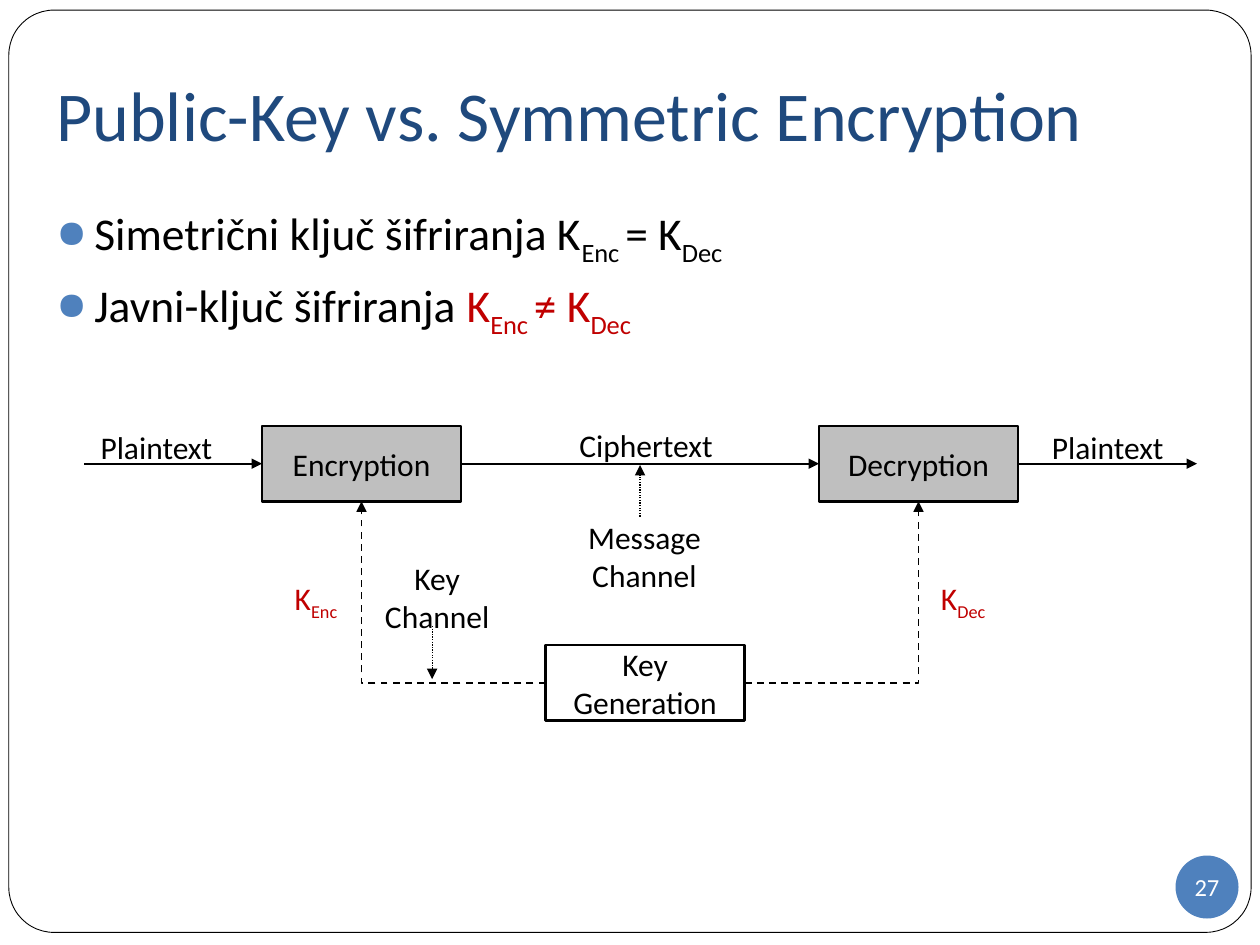
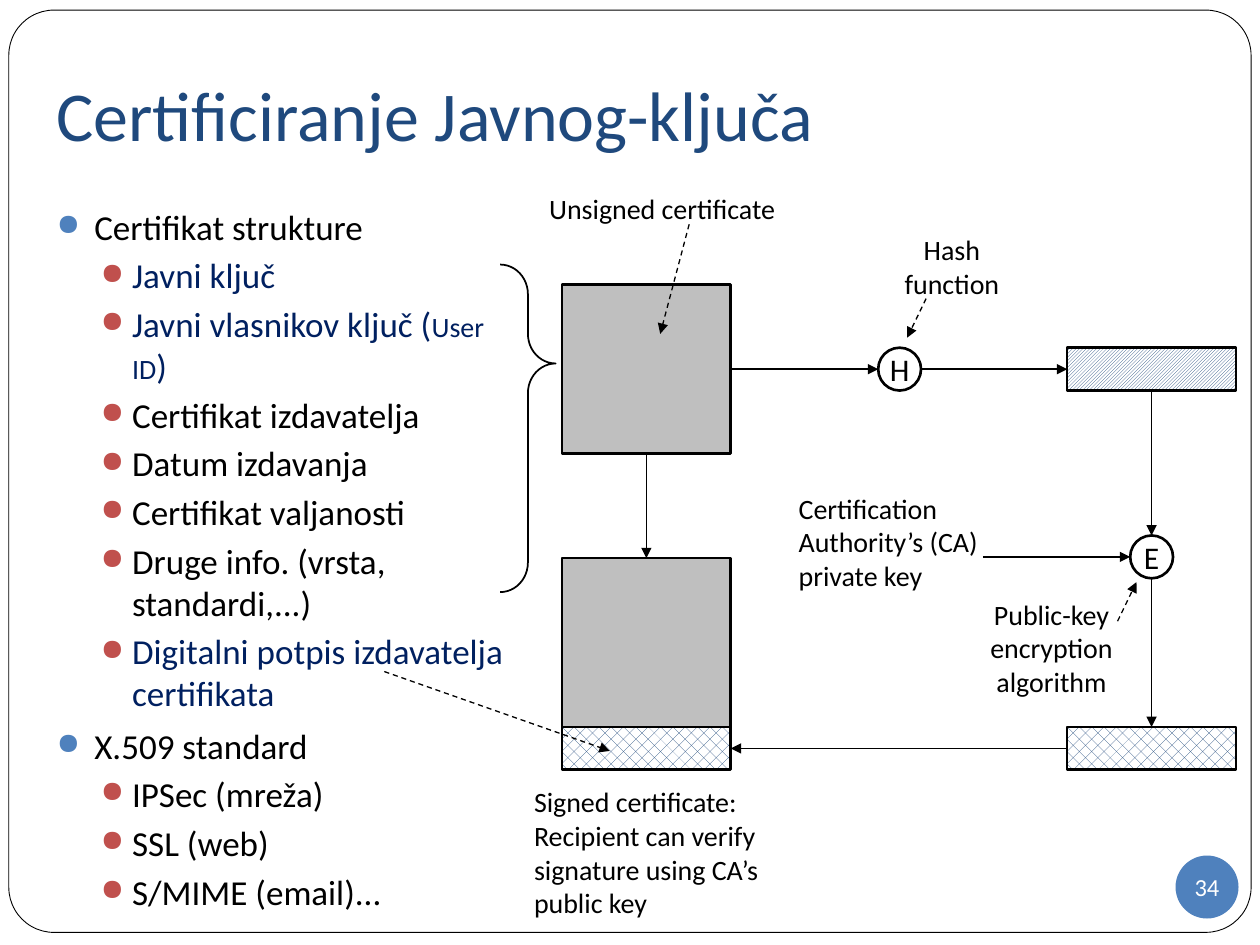
from pptx import Presentation
from pptx import util as u
from pptx.dml.color import RGBColor
from pptx.enum import dml, shapes, text
from pptx.oxml import parse_xml
from pptx.oxml.ns import nsdecls, qn

BLACK = RGBColor(0x00, 0x00, 0x00)
WHITE = RGBColor(0xFF, 0xFF, 0xFF)
NAVY = RGBColor(0x1F, 0x49, 0x7D)
INK = RGBColor(0x00, 0x20, 0x60)
BLUE = RGBColor(0x4F, 0x81, 0xBD)
BRICK = RGBColor(0xC0, 0x50, 0x4D)
RED = RGBColor(0xC0, 0x00, 0x00)
GREY = RGBColor(0xBF, 0xBF, 0xBF)

SHAPE = shapes.MSO_SHAPE
CENTER = text.PP_ALIGN.CENTER
MIDDLE = text.MSO_ANCHOR.MIDDLE
DASH = dml.MSO_LINE.DASH
DOT = dml.MSO_LINE.ROUND_DOT
HATCH = dml.MSO_PATTERN.LIGHT_UPWARD_DIAGONAL
DOTTED = dml.MSO_PATTERN.PERCENT_30
NO_INSETS = {"margin_left": 0, "margin_top": 0, "margin_right": 0, "margin_bottom": 0}
TOP, LEFT, BOTTOM, RIGHT = range(4)
BULLETS = [
    {"margin": 0.3, "hang": 0.3, "before": 5.8, "color": BLUE},
    {"margin": 0.6, "hang": 0.25, "before": 3.8, "color": BRICK},
]


def set_all(target, values):
    """Set every attribute named in a dict."""
    for name, value in values.items():
        setattr(target, name, value)


def key(suffix, **style):
    """Return the runs of a key symbol K with a subscript."""
    return [("K", style), (suffix, {**style, "base": -25})]


class Deck:
    """Holds the shared style and the slide being built."""

    font = "Calibri"

    def __init__(self):
        """Start an empty 10 by 7.5 inch presentation."""
        self.deck = Presentation()
        set_all(self.deck, {"slide_width": u.Inches(10), "slide_height": u.Inches(7.5)})
        self.page = None

    def new_page(self, title, number):
        """Add a slide with its frame, title and number badge."""
        self.page = self.deck.slides.add_slide(self.deck.slide_layouts[6])
        self.shape(SHAPE.ROUNDED_RECTANGLE, 0.07, 0.08, 9.86, 7.32,
                   fill=WHITE, width=0.5, adjust=[0.049])
        self.text_box([title], 0.35, 0.3, 9.37, 1.25, size=40, color=NAVY, fit=False,
                      vertical_anchor=MIDDLE, margin_bottom=u.Inches(0.1))
        self.shape(SHAPE.OVAL, 9.33, 6.79, 0.5, 0.5, [number], fill=BLUE, width=None,
                   size=14, color=WHITE, word_wrap=False, **NO_INSETS)

    def add_runs(self, paragraph, content, size, color):
        """Fill a paragraph with a string or a list of styled runs."""
        runs = [(content, {})] if isinstance(content, str) else content
        for words, style in runs:
            span = paragraph.add_run()
            span.text = words
            set_all(span.font, {"name": self.font, "size": u.Pt(style.get("size", size))})
            span.font.color.rgb = style.get("color", color)
            if "base" in style:
                span._r.get_or_add_rPr().set("baseline", str(style["base"] * 1000))

    def fill_frame(self, frame, paragraphs, size, color, align=None, **frame_format):
        """Put plain paragraphs into a text frame."""
        set_all(frame, frame_format)
        for index, content in enumerate(paragraphs):
            para = frame.add_paragraph() if index else frame.paragraphs[0]
            para.alignment = align
            self.add_runs(para, content, size, color)

    def text_box(self, paragraphs, x, y, w, h, size=18, color=BLACK, align=None,
                 fit=True, word_wrap=True, **frame_format):
        """Add a text box and return it."""
        box = self.page.shapes.add_textbox(*map(u.Inches, (x, y, w, h)))
        fitting = text.MSO_AUTO_SIZE.SHAPE_TO_FIT_TEXT if fit else text.MSO_AUTO_SIZE.NONE
        self.fill_frame(box.text_frame, paragraphs, size, color, align,
                        word_wrap=word_wrap, auto_size=fitting, **frame_format)
        return box

    def bullets(self, items, x, y, w, h, size):
        """Add a bulleted body from (level, content, color) items."""
        contents = [[] for _ in items]
        frame = self.text_box(contents, x, y, w, h, fit=False).text_frame
        for index, (para, (level, content, color)) in enumerate(zip(frame.paragraphs, items)):
            bullet = BULLETS[level]
            para.level = level
            para.space_before = u.Pt(bullet["before"] if index else 0)
            props = para._p.get_or_add_pPr()
            props.set("marL", str(u.Inches(bullet["margin"])))
            props.set("indent", str(-u.Inches(bullet["hang"])))
            for xml in (f'<a:buClr {nsdecls("a")}><a:srgbClr val="{bullet["color"]}"/></a:buClr>',
                        f'<a:buSzPct {nsdecls("a")} val="85000"/>',
                        f'<a:buChar {nsdecls("a")} char="●"/>'):
                props.append(parse_xml(xml))
            self.add_runs(para, content, size, color)

    def shape(self, kind, x, y, w, h, paragraphs=(), fill=None, pattern=None, width=1.5,
              adjust=(), size=18, color=BLACK, **frame_format):
        """Add a preset shape, with centred text if given, and return it."""
        shape = self.page.shapes.add_shape(kind, *map(u.Inches, (x, y, w, h)))
        shape.shadow.inherit = False
        for index, value in enumerate(adjust):
            shape.adjustments[index] = value
        if pattern is not None:
            shape.fill.patterned()
            shape.fill.pattern = pattern
            shape.fill.fore_color.rgb = NAVY
            shape.fill.back_color.rgb = WHITE
        elif fill is not None:
            shape.fill.solid()
            shape.fill.fore_color.rgb = fill
        else:
            shape.fill.background()
        if width is None:
            shape.line.fill.background()
        else:
            shape.line.color.rgb = BLACK
            shape.line.width = u.Pt(width)
        self.fill_frame(shape.text_frame, paragraphs, size, color, CENTER,
                        **{"vertical_anchor": MIDDLE, **frame_format})
        return shape

    def arrow(self, start, end, width=1, dash=None, bent=False):
        """Draw an arrow; each end is a point (x, y) or a (shape, side) joint."""
        joints = [not isinstance(place[0], (int, float)) for place in (start, end)]
        points = [(0, 0) if joined else tuple(map(u.Inches, place))
                  for joined, place in zip(joints, (start, end))]
        kind = shapes.MSO_CONNECTOR.ELBOW if bent else shapes.MSO_CONNECTOR.STRAIGHT
        line = self.page.shapes.add_connector(kind, *points[0], *points[1])
        for joined, connect, place in zip(joints, (line.begin_connect, line.end_connect),
                                          (start, end)):
            if joined:
                connect(*place)
        line.line.color.rgb = BLACK
        set_all(line.line, {"width": u.Pt(width), "dash_style": dash})
        props = line._element.spPr
        if bent:
            props.find(qn("a:prstGeom")).set("prst", "bentConnector2")
        props.find(qn("a:ln")).append(parse_xml(f'<a:tailEnd {nsdecls("a")} type="triangle"/>'))
        props.append(parse_xml(f'<a:effectLst {nsdecls("a")}/>'))


def build_encryption(deck):
    """Build the slide on public-key and symmetric encryption."""
    deck.new_page("Public-Key vs. Symmetric Encryption", "27")
    deck.bullets([
        (0, [("Simetrični ključ šifriranja ", {}), *key("Enc "), ("= ", {}), *key("Dec")], BLACK),
        (0, [("Javni-ključ šifriranja ", {}), *key("Enc ", color=RED),
             ("≠ ", {"color": RED}), *key("Dec", color=RED)], BLACK),
    ], 0.35, 1.58, 9.37, 5.63, size=26)

    encryption, decryption, generation = [
        deck.shape(SHAPE.RECTANGLE, x, y, 1.58, 0.6, [name], fill=fill)
        for name, x, y, fill in (("Encryption", 2.08, 3.38, GREY),
                                 ("Decryption", 6.5, 3.38, GREY),
                                 ("Key Generation", 4.33, 5.12, None))]
    flow = 3.68
    deck.arrow((0.67, flow), (encryption, LEFT))
    deck.arrow((encryption, RIGHT), (decryption, LEFT))
    deck.arrow((decryption, RIGHT), (9.5, flow))
    deck.arrow((generation, RIGHT), (decryption, BOTTOM), dash=DASH, bent=True)
    deck.arrow((generation, LEFT), (encryption, BOTTOM), dash=DASH, bent=True)
    deck.arrow((5.08, 4.1), (5.08, 3.69), 0.75, DOT)
    deck.arrow((3.43, 4.97), (3.43, 5.39), 0.75, DOT)

    for name, x, y, w in (("Plaintext", 0.7, 3.35, 1.1), ("Ciphertext", 4.5, 3.33, 1.27),
                          ("Plaintext", 8.25, 3.35, 1.1)):
        deck.text_box([name], x, y, w, 0.4, word_wrap=False)
    for suffix, x, w in (("Enc", 2.24, 0.71), ("Dec", 7.37, 0.86)):
        deck.text_box([key(suffix)], x, 4.55, w, 0.4, color=RED)
    for name, x, y, w in (("Message", 4.56, 4.06, 1.11), ("Key", 2.95, 4.39, 1.04)):
        deck.text_box([name, "Channel"], x, y, w, 0.71, align=CENTER, word_wrap=False)


def build_certificate(deck):
    """Build the slide on certifying a public key."""
    deck.new_page("Certificiranje Javnog-ključa", "34")
    deck.bullets([
        (0, "Certifikat strukture", BLACK),
        (1, "Javni ključ", INK),
        (1, [("Javni vlasnikov ključ (", {}), ("User ID", {"size": 16}), (")", {})], INK),
        (1, "Certifikat izdavatelja", BLACK),
        (1, "Datum izdavanja", BLACK),
        (1, "Certifikat valjanosti", BLACK),
        (1, "Druge info. (vrsta, standardi,...)", BLACK),
        (1, "Digitalni potpis izdavatelja certifikata", INK),
        (0, "X.509 standard", BLACK),
        (1, "IPSec (mreža)", BLACK),
        (1, "SSL (web)", BLACK),
        (1, "S/MIME (email)...", BLACK),
    ], 0.35, 1.58, 3.78, 5.71, size=20)

    side, strip = 1.34, 0.34
    left, right = 4.46, 8.47
    unsigned, signed = [deck.shape(SHAPE.RECTANGLE, left, y, side, side, fill=GREY)
                        for y in (2.26, 4.43)]
    digest, signature, attached = [
        deck.shape(SHAPE.RECTANGLE, x, y, side, strip, pattern=pattern)
        for x, y, pattern in ((right, 2.76, HATCH), (right, 5.77, DOTTED),
                              (left, 5.77, DOTTED))]
    for letter, x, y in (("H", 6.97, 2.76), ("E", 8.97, 4.25)):
        deck.shape(SHAPE.OVAL, x, y, strip, strip, [letter], word_wrap=False, **NO_INSETS)
    deck.shape(SHAPE.RIGHT_BRACE, 3.97, 2.1, 0.44, 2.6, width=1, adjust=[0.534, 0.302])

    for start, end in (((unsigned, RIGHT), (6.97, 2.93)), ((7.31, 2.93), (digest, LEFT)),
                       ((digest, BOTTOM), (9.14, 4.25)), ((7.8, 4.42), (8.97, 4.42)),
                       ((9.14, 4.59), (signature, TOP)), ((unsigned, BOTTOM), (signed, TOP)),
                       ((signature, LEFT), (attached, RIGHT))):
        deck.arrow(start, end)
    for start, end in (((7.35, 2.37), (7.2, 2.68)), ((8.87, 4.93), (9.02, 4.62)),
                       ((5.47, 1.78), (5.24, 2.65)), ((3.05, 5.33), (4.84, 5.96))):
        deck.arrow(start, end, 0.75, DASH)

    for lines, x, y, w, h, align, wrap in (
            (["Unsigned certificate"], 4.26, 1.47, 2.08, 0.37, None, True),
            (["Hash", "function"], 7.05, 1.8, 1.01, 0.64, CENTER, True),
            (["Public-key encryption", "algorithm"], 7.67, 4.69, 1.35, 0.91, CENTER, True),
            (["Certification", "Authority’s (CA)", "private key"],
             6.24, 3.85, 1.69, 0.91, None, False),
            (["Signed certificate:", "Recipient can verify", "signature using CA’s",
              "public key"], 4.14, 6.18, 2.1, 1.18, None, False)):
        deck.text_box(lines, x, y, w, h, size=16, align=align, word_wrap=wrap)


def main():
    """Build both slides and save the file."""
    deck = Deck()
    build_encryption(deck)
    build_certificate(deck)
    deck.deck.save("out.pptx")


if __name__ == "__main__":
    main()
